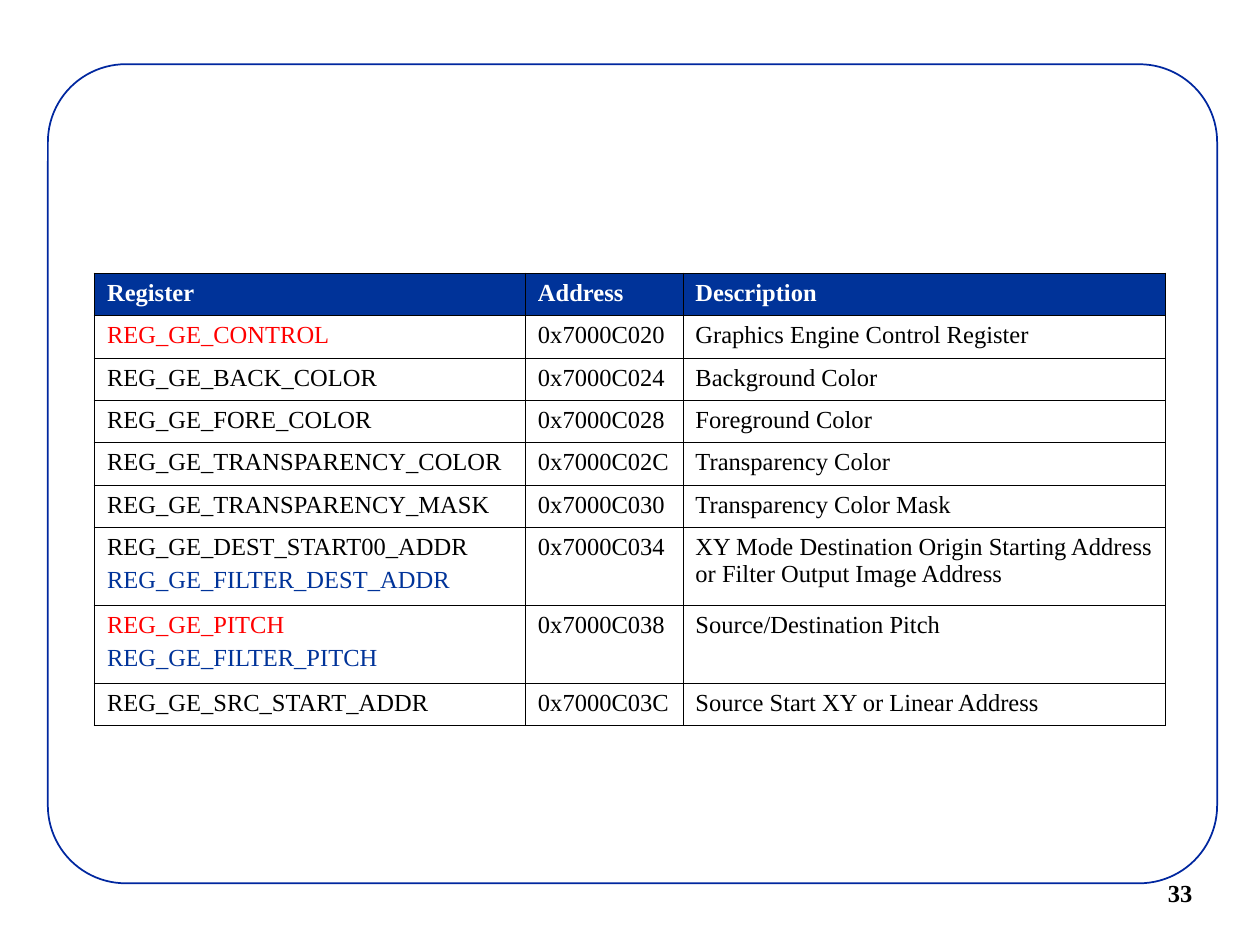
"""Build the slide listing the graphics engine registers."""
from lxml.etree import SubElement
from pptx import Presentation
from pptx.dml.color import RGBColor as Color
from pptx.enum.shapes import MSO_SHAPE as Shape
from pptx.enum.text import MSO_AUTO_SIZE as AutoSize
from pptx.oxml.ns import qn
from pptx.util import Inches, Pt

COLORS = {"white": "FFFFFF", "black": "000000", "red": "FF0000",
          "blue": "003399", "frame": "00279F"}
FONT = {"name": "Times New Roman", "size": Pt(14)}
COLUMN_SHARES = [34.2, 12.5, 38.3]
ROW_SHARE, TALL_ROW_SHARE = 4.48, 8.25
OUTER_LINE, INNER_LINE = Pt(1.08), Pt(0.45)
HEADINGS = ["Register", "Address", "Description"]
REGISTERS = [
    ([("REG_GE_CONTROL", "red")], "0x7000C020", "Graphics Engine Control Register"),
    ([("REG_GE_BACK_COLOR", "black")], "0x7000C024", "Background Color"),
    ([("REG_GE_FORE_COLOR", "black")], "0x7000C028", "Foreground Color"),
    ([("REG_GE_TRANSPARENCY_COLOR", "black")], "0x7000C02C", "Transparency Color"),
    ([("REG_GE_TRANSPARENCY_MASK", "black")], "0x7000C030", "Transparency Color Mask"),
    ([("REG_GE_DEST_START00_ADDR", "black"), ("REG_GE_FILTER_DEST_ADDR", "blue")],
     "0x7000C034",
     "XY Mode Destination Origin Starting Address or Filter Output Image Address"),
    ([("REG_GE_PITCH", "red"), ("REG_GE_FILTER_PITCH", "blue")],
     "0x7000C038", "Source/Destination Pitch"),
    ([("REG_GE_SRC_START_ADDR", "black")], "0x7000C03C",
     "Source Start XY or Linear Address"),
]

presentation = Presentation()
presentation.slide_width, presentation.slide_height = Inches(10), Inches(7.5)
slide = presentation.slides.add_slide(presentation.slide_layouts[6])


def area(left, top, width, height):
    """Turn percentages of the slide into lengths."""
    across, down = presentation.slide_width / 100, presentation.slide_height / 100
    return int(left * across), int(top * down), int(width * across), int(height * down)


def write(text_frame, lines, bold=False):
    """Write (text, color name) lines as paragraphs."""
    for index, (text, color) in enumerate(lines):
        paragraph = text_frame.add_paragraph() if index else text_frame.paragraphs[0]
        if index:
            paragraph.space_before = Pt(3.5)
        run = paragraph.add_run()
        run.text = text
        for key, value in {**FONT, "bold": bold}.items():
            setattr(run.font, key, value)
        run.font.color.rgb = Color.from_string(COLORS[color])


frame = slide.shapes.add_shape(Shape.ROUNDED_RECTANGLE, *area(3.8, 6.8, 92.8, 86.67))
frame.adjustments[0] = 0.095
frame.shadow.inherit = False
frame.fill.solid()
frame.fill.fore_color.rgb = Color.from_string(COLORS["white"])
frame.line.color.rgb = Color.from_string(COLORS["frame"])
frame.line.width = Pt(1)

page_number = slide.shapes.add_textbox(*area(91.7, 92.27, 10.8, 4.4))
page_number.text_frame.word_wrap = False
page_number.text_frame.auto_size = AutoSize.SHAPE_TO_FIT_TEXT
write(page_number.text_frame, [("33", "black")], bold=True)

rows = [[[(heading, "white")] for heading in HEADINGS]]
rows += [[names, [(address, "black")], [(description, "black")]]
         for names, address, description in REGISTERS]
row_shares = [TALL_ROW_SHARE if len(row[0]) > 1 else ROW_SHARE for row in rows]
table = slide.shapes.add_table(
    len(rows), len(HEADINGS),
    *area(7.5, 28.93, sum(COLUMN_SHARES), sum(row_shares))).table
table.first_row = table.horz_banding = False
for column, share in zip(table.columns, COLUMN_SHARES):
    column.width = area(0, 0, share, 0)[2]
for row, share in zip(table.rows, row_shares):
    row.height = area(0, 0, 0, share)[3]

for row_index, row in enumerate(rows):
    for column_index, lines in enumerate(row):
        cell = table.cell(row_index, column_index)
        write(cell.text_frame, lines, bold=row_index == 0)
        outer_sides = {"L": column_index == 0, "R": column_index == len(HEADINGS) - 1,
                       "T": row_index == 0, "B": row_index == len(rows) - 1}
        properties = cell._tc.get_or_add_tcPr()
        for side, is_outer in outer_sides.items():
            border = SubElement(properties, qn(f"a:ln{side}"),
                                w=str(OUTER_LINE if is_outer else INNER_LINE))
            fill = SubElement(border, qn("a:solidFill"))
            SubElement(fill, qn("a:srgbClr"), val=COLORS["black"])
        if row_index == 0:
            cell.fill.solid()
            cell.fill.fore_color.rgb = Color.from_string(COLORS["blue"])
        else:
            cell.fill.background()

presentation.save("out.pptx")
